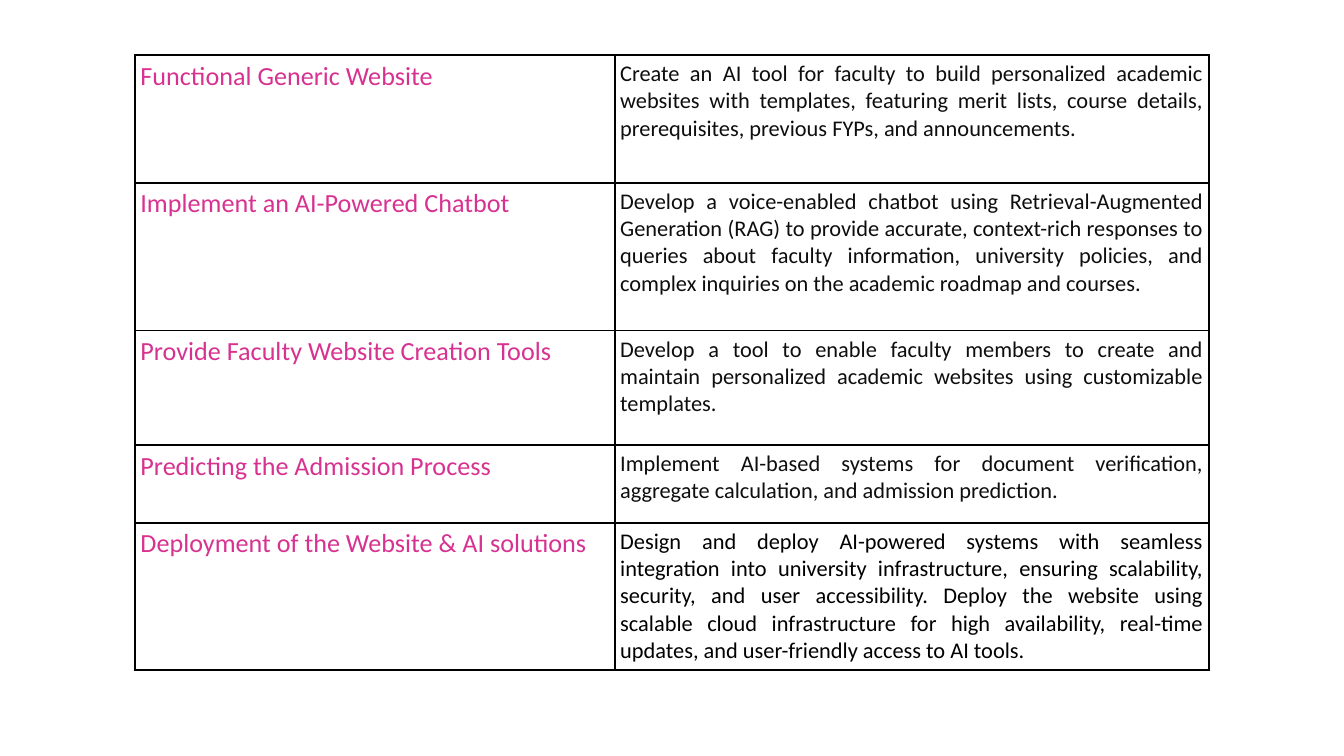
import pptx
import pptx.dml.color
import pptx.enum.text
import pptx.oxml
import pptx.oxml.ns
import pptx.util

Inches = pptx.util.Inches
Pt = pptx.util.Pt
RGBColor = pptx.dml.color.RGBColor
ALIGN = pptx.enum.text.PP_ALIGN

PINK = RGBColor(0xD8, 0x32, 0x91)
INK = RGBColor(0x0E, 0x0E, 0x0E)
BLACK = RGBColor(0, 0, 0)

# Content: row height, objective, description
ROWS = [
    (0.95, "Functional Generic Website",
     "Create an AI tool for faculty to build personalized academic websites with templates, "
     "featuring merit lists, course details, prerequisites, previous FYPs, and announcements."),
    (1.1, "Implement an AI-Powered Chatbot",
     "Develop a voice-enabled chatbot using Retrieval-Augmented Generation (RAG) to provide "
     "accurate, context-rich responses to queries about faculty information, university "
     "policies, and complex inquiries on the academic roadmap and courses."),
    (0.85, "Provide Faculty Website Creation Tools",
     "Develop a tool to enable faculty members to create and maintain personalized academic "
     "websites using customizable templates."),
    (0.58, "Predicting the Admission Process",
     "Implement AI-based systems for document verification, aggregate calculation, and "
     "admission prediction."),
    (1.05, "Deployment of the Website & AI solutions",
     "Design and deploy AI-powered systems with seamless integration into university "
     "infrastructure, ensuring scalability, security, and user accessibility. Deploy the "
     "website using scalable cloud infrastructure for high availability, real-time updates, "
     "and user-friendly access to AI tools."),
]
SLIDE_WIDTH = 10
SLIDE_HEIGHT = SLIDE_WIDTH * 9 / 16
COLS = [3.57, 4.42]
TOP = 0.41
MARGIN = 0.04


def add_borders(cell, color=BLACK, width=1):
    tc_pr = cell._tc.get_or_add_tcPr()
    for i, side in enumerate(("lnL", "lnR", "lnT", "lnB")):
        tc_pr.insert(i, pptx.oxml.parse_xml(
            f'<a:{side} {pptx.oxml.ns.nsdecls("a")} w="{Pt(width)}">'
            f'<a:solidFill><a:srgbClr val="{color}"/></a:solidFill></a:{side}>'))


def write_cell(cell, text, size=12, color=INK, align=ALIGN.JUSTIFY, after=None):
    cell.margin_left = cell.margin_right = Inches(MARGIN)
    cell.margin_top = cell.margin_bottom = Inches(MARGIN)
    cell.fill.background()
    add_borders(cell)
    p = cell.text_frame.paragraphs[0]
    p.alignment = align
    if after is not None:
        p.space_after = Pt(after)
    r = p.add_run()
    r.text = text
    r.font.name = "Calibri"
    r.font.size = Pt(size)
    r.font.color.rgb = color


prs = pptx.Presentation()
prs.slide_width, prs.slide_height = Inches(SLIDE_WIDTH), Inches(SLIDE_HEIGHT)
s = prs.slides.add_slide(prs.slide_layouts[6])

# Table grid, centred across the slide
width = sum(COLS)
height = sum(row[0] for row in ROWS)
table = s.shapes.add_table(len(ROWS), len(COLS), Inches((SLIDE_WIDTH - width) / 2),
                           Inches(TOP), Inches(width), Inches(height)).table
table.first_row = table.horz_banding = False
for col, col_width in zip(table.columns, COLS):
    col.width = Inches(col_width)

# Objectives on the left, descriptions on the right
for i, (row_height, objective, description) in enumerate(ROWS):
    last = i == len(ROWS) - 1
    first = i == 0
    table.rows[i].height = Inches(row_height)
    write_cell(table.cell(i, 0), objective, size=14, color=PINK,
               align=ALIGN.LEFT if first or last else ALIGN.JUSTIFY)
    write_cell(table.cell(i, 1), description, color=BLACK if last else INK,
               after=12 if last else None)

prs.save("out.pptx")
